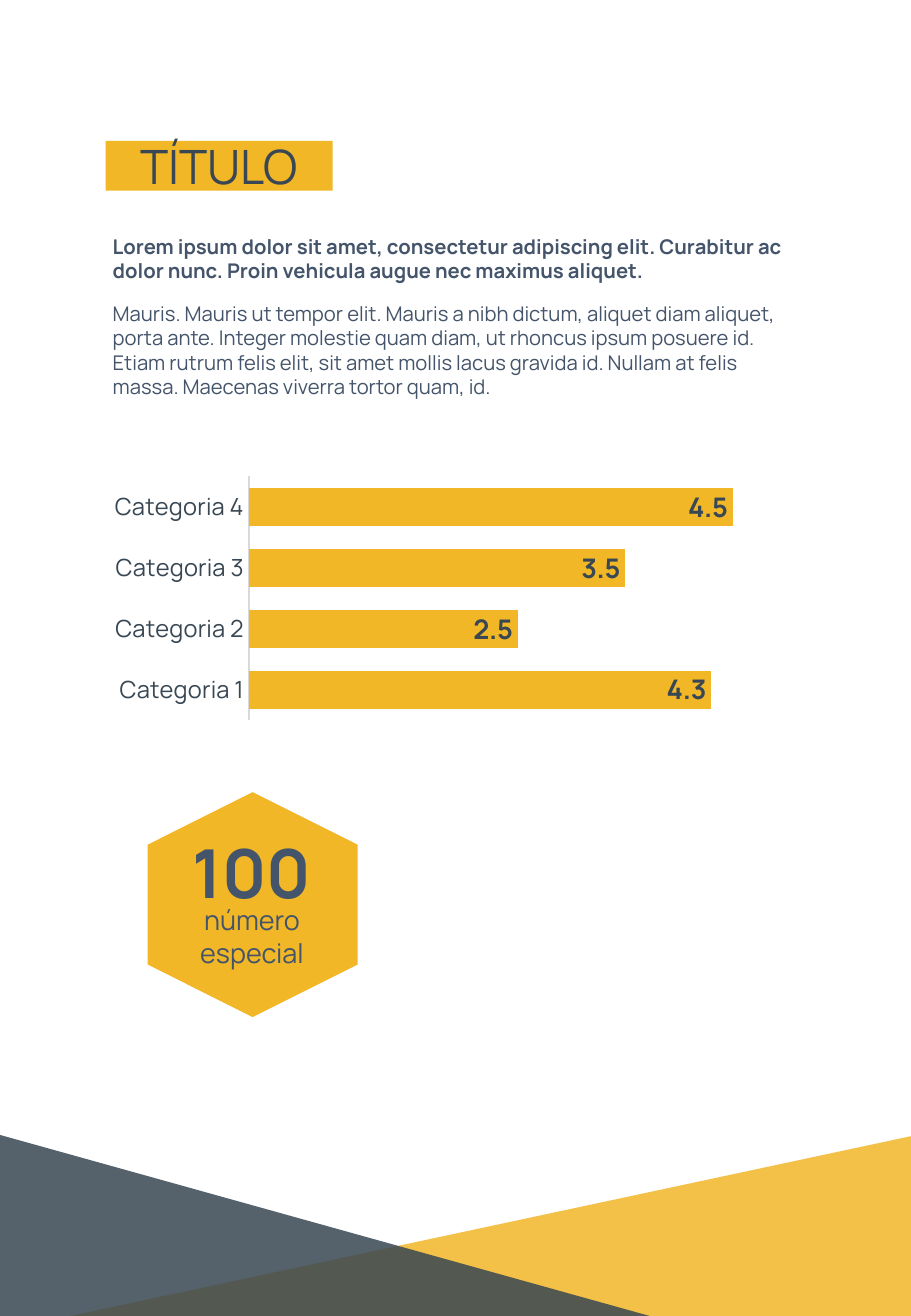
"""Build a one-page portrait report with a title, a bar chart and a key figure."""
from dataclasses import dataclass

from lxml import etree
from pptx import Presentation
from pptx.chart.data import CategoryChartData
from pptx.dml.color import RGBColor
from pptx.enum.chart import XL_CHART_TYPE, XL_LABEL_POSITION, XL_TICK_MARK
from pptx.enum.shapes import MSO_SHAPE
from pptx.enum.text import MSO_ANCHOR, MSO_AUTO_SIZE, PP_ALIGN
from pptx.oxml.ns import qn
from pptx.shapes.autoshape import Shape
from pptx.slide import Slide
from pptx.text.text import Font, TextFrame
from pptx.util import Inches, Pt

TRIANGLE, RECTANGLE, HEXAGON = MSO_SHAPE.ISOSCELES_TRIANGLE, MSO_SHAPE.RECTANGLE, MSO_SHAPE.HEXAGON
LEFT, CENTER = PP_ALIGN.LEFT, PP_ALIGN.CENTER
MIDDLE = MSO_ANCHOR.MIDDLE
GROW = MSO_AUTO_SIZE.SHAPE_TO_FIT_TEXT
BAR_CLUSTERED = XL_CHART_TYPE.BAR_CLUSTERED
INSIDE_END = XL_LABEL_POSITION.INSIDE_END
NO_TICK = XL_TICK_MARK.NONE

COLORS = {"yellow": "F1B727", "slate": "384753", "text": "44546A",
          "axis": "D9D9D9", "white": "FFFFFF", "black": "000000"}
FONT = "Manrope"
Box = tuple[float, float, float, float]
COLUMN_LEFT, COLUMN_WIDTH = 0.83, 5.76
FIGURE_LEFT, FIGURE_WIDTH = 1.19, 1.77


@dataclass
class Panel:
    kind: MSO_SHAPE
    box: Box
    color: str
    rotation: float = 0
    opacity: int = 100
    flipped: bool = False


@dataclass
class Passage:
    box: Box
    wording: str
    size: float
    bold: bool = False
    align: PP_ALIGN = LEFT


FOOTER_WEDGES = [
    Panel(TRIANGLE, (3.27, 6.61, 1.49, 6.97), "yellow", 270, 85),
    Panel(TRIANGLE, (1.93, 7.41, 1.49, 5.35), "slate", 90, 85, True),
]
TITLE_BAND = Panel(RECTANGLE, (0.87, 1.16, 1.87, 0.41), "yellow")
BADGE = Panel(HEXAGON, (1.13, 6.56, 1.9, 1.77), "yellow", 90)
BODY = [
    Passage((COLUMN_LEFT, 1.88, COLUMN_WIDTH, 0.5),
            "Lorem ipsum dolor sit amet, consectetur adipiscing elit. Curabitur ac "
            "dolor nunc. Proin vehicula augue nec maximus aliquet.", 12, True),
    Passage((COLUMN_LEFT, 2.43, COLUMN_WIDTH, 0.91),
            "Mauris. Mauris ut tempor elit. Mauris a nibh dictum, aliquet diam aliquet, "
            "porta ante. Integer molestie quam diam, ut rhoncus ipsum posuere id. "
            "Etiam rutrum felis elit, sit amet mollis lacus gravida id. Nullam at felis "
            "massa. Maecenas viverra tortor quam, id.", 12),
]
KEY_FIGURE = [
    Passage((FIGURE_LEFT, 6.79, FIGURE_WIDTH, 0.77), "100", 40, True, CENTER),
    Passage((FIGURE_LEFT, 7.39, FIGURE_WIDTH, 0.64), "número especial", 16, False, CENTER),
]
SCORES = {"Categoria 1": 4.3, "Categoria 2": 2.5, "Categoria 3": 3.5, "Categoria 4": 4.5}


def rgb(color: str) -> RGBColor:
    return RGBColor.from_string(COLORS[color])


def style_font(font: Font, size: float, color: str, bold: bool = False, name: str = FONT) -> None:
    font.name, font.size, font.bold = name, Pt(size), bold
    font.color.rgb = rgb(color)


def write(frame: TextFrame, wording: str, size: float, color: str, bold: bool, align: PP_ALIGN) -> None:
    frame.word_wrap = True
    paragraph = frame.paragraphs[0]
    paragraph.alignment = align
    run = paragraph.add_run()
    run.text = wording
    style_font(run.font, size, color, bold)


def draw_panel(slide: Slide, panel: Panel) -> Shape:
    shape = slide.shapes.add_shape(panel.kind, *map(Inches, panel.box))
    shape.shadow.inherit = False
    shape.rotation = panel.rotation
    shape.fill.solid()
    shape.fill.fore_color.rgb = rgb(panel.color)
    shape.line.fill.background()
    if panel.kind == TRIANGLE:
        shape.adjustments[0] = 0
    properties = shape._element.spPr
    if panel.flipped:
        properties.find(qn("a:xfrm")).set("flipH", "1")
    if panel.opacity < 100:
        fill_color = properties.find(qn("a:solidFill")).find(qn("a:srgbClr"))
        etree.SubElement(fill_color, qn("a:alpha")).set("val", str(panel.opacity * 1000))
    return shape


def draw_passage(slide: Slide, passage: Passage) -> None:
    frame = slide.shapes.add_textbox(*map(Inches, passage.box)).text_frame
    frame.auto_size = GROW
    write(frame, passage.wording, passage.size, "text", passage.bold, passage.align)


def draw_scores(slide: Slide, box: Box) -> None:
    scores = CategoryChartData()
    scores.categories = list(SCORES)
    scores.add_series("Series 1", list(SCORES.values()))
    chart = slide.shapes.add_chart(BAR_CLUSTERED, *map(Inches, box), scores).chart
    style_font(chart.font, 10, "black", name="Arial")
    chart.has_legend = chart.has_title = False

    categories = chart.category_axis
    categories.major_tick_mark = categories.minor_tick_mark = NO_TICK
    categories.format.line.color.rgb = rgb("axis")
    categories.format.line.width = Pt(0.75)
    style_font(categories.tick_labels.font, 14, "slate")

    values = chart.value_axis
    values.visible = values.has_major_gridlines = False
    values.minimum_scale, values.maximum_scale = 0, 5

    plot = chart.plots[0]
    plot.gap_width = 62
    plot.vary_by_categories = False
    bars = plot.series[0]
    bars.format.fill.solid()
    bars.format.fill.fore_color.rgb = rgb("yellow")
    labels = bars.data_labels
    labels.show_value = True
    labels.position = INSIDE_END
    style_font(labels.font, 16, "slate", True)


def main() -> None:
    deck = Presentation()
    deck.slide_width, deck.slide_height = Inches(7.5), Inches(10.83)
    slide = deck.slides.add_slide(deck.slide_layouts[6])

    for wedge in FOOTER_WEDGES:
        draw_panel(slide, wedge)
    title = draw_panel(slide, TITLE_BAND).text_frame
    title.vertical_anchor = MIDDLE
    write(title, "TÍTULO", 28, "slate", False, CENTER)
    for passage in BODY:
        draw_passage(slide, passage)
    draw_scores(slide, (COLUMN_LEFT, 3.88, COLUMN_WIDTH, 2.09))
    badge = draw_panel(slide, BADGE)
    badge.line.color.rgb = rgb("white")
    badge.line.width = Pt(3)
    for passage in KEY_FIGURE:
        draw_passage(slide, passage)

    deck.save("out.pptx")


if __name__ == "__main__":
    main()
